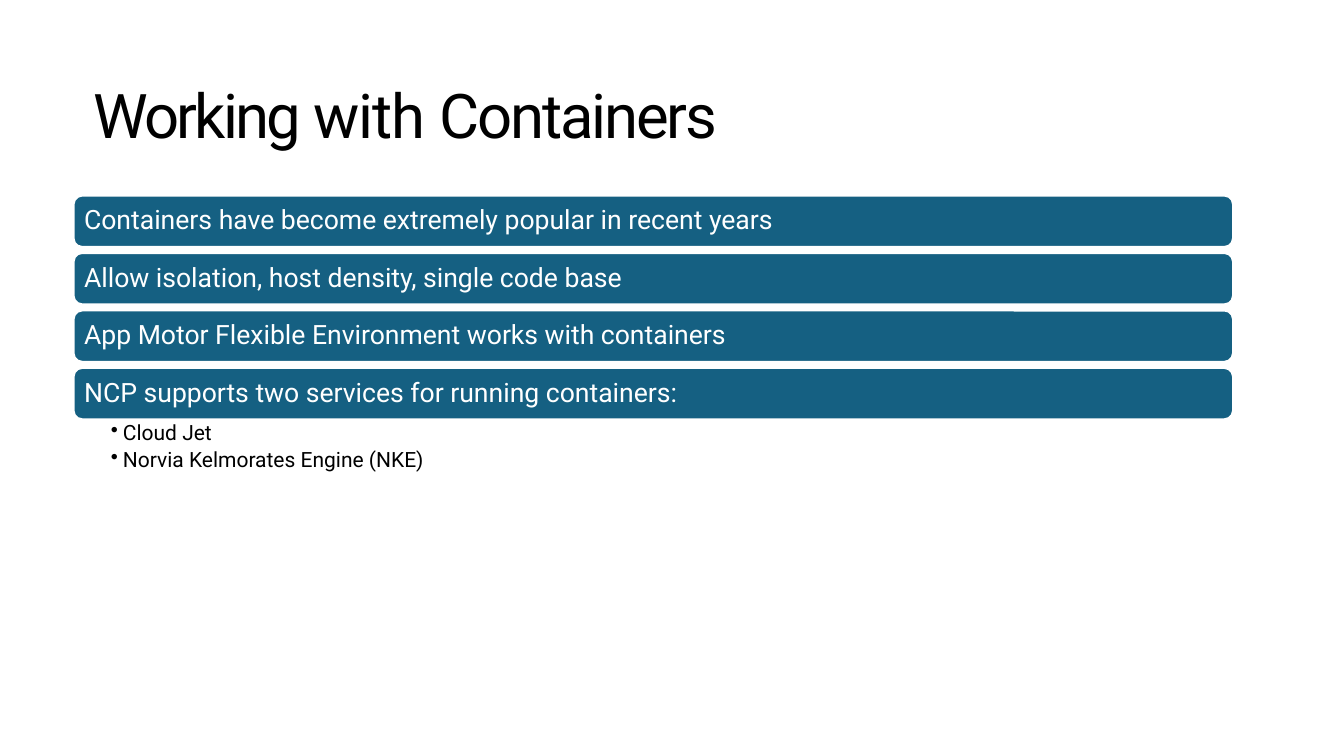
"""Build the slide on working with containers."""
import pptx
import pptx.dml.color
import pptx.enum.shapes
import pptx.enum.text
import pptx.oxml.ns
import pptx.util
import lxml.etree

PX = 9144
FONT = "Roboto"


def paint(item, tone):
    item.rgb = pptx.dml.color.RGBColor.from_string(tone)


def style(par, size, tone):
    par.font.name = FONT
    par.font.size = pptx.util.Pt(size)
    paint(par.font.color, tone)
    par.alignment = pptx.enum.text.PP_ALIGN.LEFT


deck = pptx.Presentation()
deck.slide_width, deck.slide_height = 1333 * PX, 750 * PX
slide = deck.slides.add_slide(deck.slide_layouts[5])

title = slide.shapes.title
title.left, title.top, title.width, title.height = 93 * PX, 40 * PX, 1150 * PX, 145 * PX
frame = title.text_frame
frame.margin_left = frame.margin_right = frame.margin_bottom = 0
frame.margin_top = PX
frame.vertical_anchor = pptx.enum.text.MSO_ANCHOR.MIDDLE
par = frame.paragraphs[0]
for word, gap in (("Working ", -210), ("with ", -80), ("Containers", -160)):
    run = par.add_run()
    run.text = word
    run.font._element.set("spc", str(gap))
style(par, 44, "000000")
par.space_before = pptx.util.Pt(1)

points = (
    "Containers have become extremely popular in recent years",
    "Allow isolation, host density, single code base",
    "App Motor Flexible Environment works with containers",
    "NCP supports two services for running containers:",
)
for row, point in enumerate(points):
    bar = slide.shapes.add_shape(
        pptx.enum.shapes.MSO_SHAPE.ROUNDED_RECTANGLE,
        73 * PX, (194 + 57 * row) * PX, 1150 * PX, 51 * PX)
    bar.shadow.inherit = False
    bar.fill.solid()
    paint(bar.fill.fore_color, "156082")
    paint(bar.line.color, "FFFFFF")
    bar.line.width = pptx.util.Pt(1.5)
    frame = bar.text_frame
    frame.margin_left = frame.margin_right = 8 * PX
    frame.margin_top = frame.margin_bottom = 8 * PX
    frame.vertical_anchor = pptx.enum.text.MSO_ANCHOR.MIDDLE
    par = frame.paragraphs[0]
    par.text = point
    par.line_spacing = 0.9
    style(par, 19, "FFFFFF")

box = slide.shapes.add_textbox(73 * PX, 416 * PX, 1150 * PX, 57 * PX)
frame = box.text_frame
frame.word_wrap = True
frame.margin_left, frame.margin_right = 37 * PX, 15 * PX
frame.margin_top = frame.margin_bottom = 3 * PX
frame.text = "Cloud Jet\nNorvia Kelmorates Engine (NKE)"
for par in frame.paragraphs:
    style(par, 15, "000000")
    par.level = 1
    par.line_spacing = 0.9
    par.space_after = pptx.util.Pt(3)
    props = par._p.get_or_add_pPr()
    props.set("marL", str(12 * PX))
    props.set("indent", str(-12 * PX))
    mark = lxml.etree.SubElement(props, pptx.oxml.ns.qn("a:buChar"))
    mark.set("char", "•")

deck.save("out.pptx")
